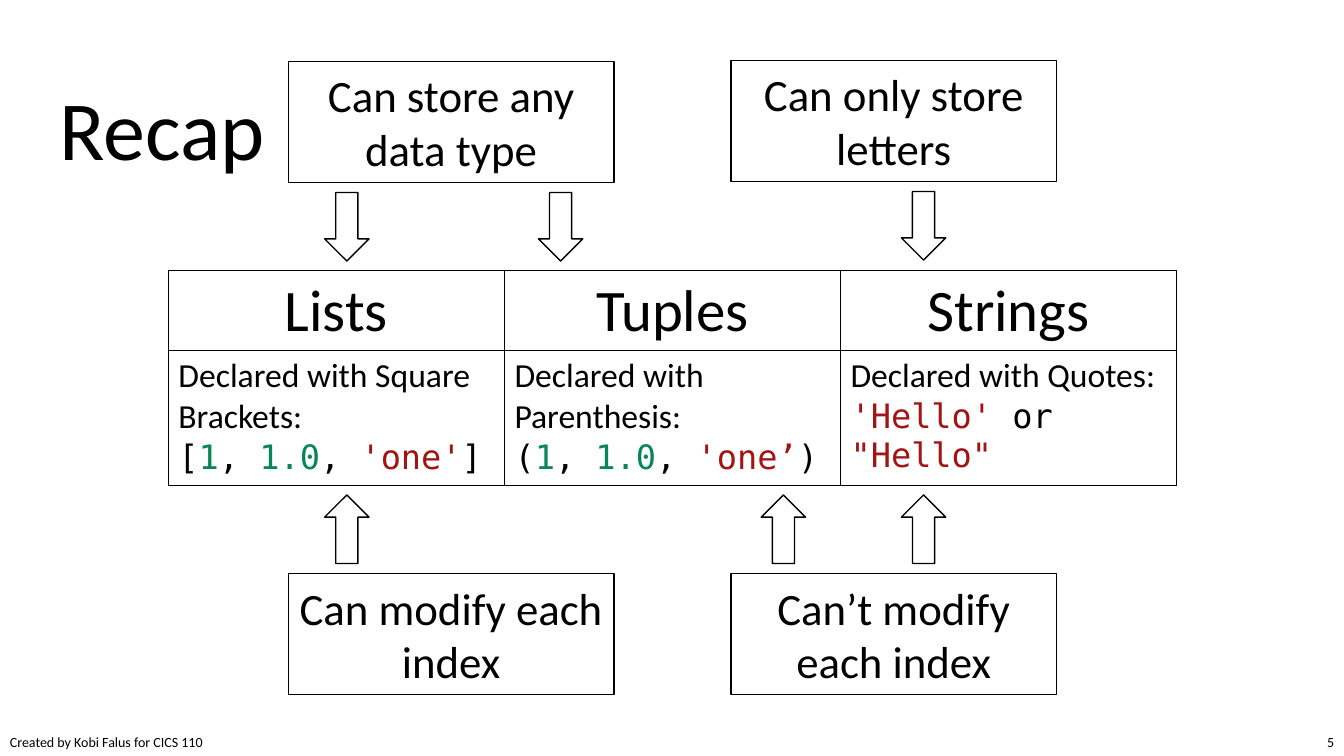
from dataclasses import dataclass

from lxml.etree import SubElement
from pptx import Presentation
from pptx.dml.color import RGBColor
from pptx.enum.shapes import MSO_SHAPE as Shape
from pptx.enum.text import MSO_ANCHOR as Anchor, PP_ALIGN as Align
from pptx.oxml.ns import qn
from pptx.util import Inches, Pt

BLACK = RGBColor(0x00, 0x00, 0x00)
WHITE = RGBColor(0xFF, 0xFF, 0xFF)
NUMBER = RGBColor(0x09, 0x86, 0x58)
STRING = RGBColor(0xA3, 0x15, 0x15)
BODY_FONT = "Calibri"
CODE_FONT = "DejaVu Sans Mono"

Code = list[tuple[str, RGBColor]]


@dataclass
class Column:
    heading: str
    declared: str
    code: Code


@dataclass
class Note:
    text: str
    left: float
    top: float


@dataclass
class Arrow:
    left: float
    top: float
    rotation: int = 0


def sequence_code(opening: str, word: str, closing: str) -> Code:
    return [(opening, BLACK), ("1", NUMBER), (", ", BLACK), ("1.0", NUMBER),
            (", ", BLACK), (word, STRING), (closing, BLACK)]


COLUMNS = [
    Column("Lists", "Declared with Square Brackets:", sequence_code("[", "'one'", "]")),
    Column("Tuples", "Declared with Parenthesis:", sequence_code("(", "'one’", ")")),
    Column("Strings", "Declared with Quotes:",
           [("'Hello' ", STRING), ("or ", BLACK), ('"Hello"', STRING)]),
]
NOTES = [
    Note("Can store any data type", 2.86, 0.61),
    Note("Can only store letters", 7.25, 0.6),
    Note("Can modify each index", 2.86, 5.69),
    Note("Can’t modify each index", 7.25, 5.69),
]
ARROWS = [
    Arrow(3.22, 1.91), Arrow(5.34, 1.91), Arrow(8.94, 1.9),
    Arrow(3.22, 4.91, 180), Arrow(7.55, 4.91, 180), Arrow(8.94, 4.91, 180),
]


def write(p, text: str, size: float, align: Align = Align.LEFT) -> None:
    p.text = text
    p.alignment = align
    p.font.size = Pt(size)
    p.font.name = BODY_FONT
    p.font.color.rgb = BLACK


def write_code(p, code: Code) -> None:
    p.font.size = Pt(24)
    p.font.name = CODE_FONT
    for text, color in code:
        r = p.add_run()
        r.text = text
        r.font.size = Pt(24)
        r.font.name = CODE_FONT
        r.font.color.rgb = color


def format_cell(cell) -> None:
    """Give a cell black borders and no fill."""
    tc_pr = cell._tc.get_or_add_tcPr()
    for side in ("a:lnL", "a:lnR", "a:lnT", "a:lnB"):
        line = SubElement(tc_pr, qn(side), w=str(Pt(1)))
        fill = SubElement(line, qn("a:solidFill"))
        SubElement(fill, qn("a:srgbClr"), val=str(BLACK))
    cell.fill.background()


def add_comparison(s) -> None:
    table = s.shapes.add_table(2, len(COLUMNS), Inches(1.67), Inches(2.68),
                               Inches(10), Inches(2.14)).table
    table.first_row = table.horz_banding = False
    table.rows[0].height = Inches(0.8)
    table.rows[1].height = Inches(1.34)
    for i, column in enumerate(COLUMNS):
        heading, body = table.cell(0, i), table.cell(1, i)
        format_cell(heading)
        format_cell(body)
        write(heading.text_frame.paragraphs[0], column.heading, 42, Align.CENTER)
        write(body.text_frame.paragraphs[0], column.declared, 24)
        write_code(body.text_frame.add_paragraph(), column.code)


def add_outlined(s, kind: Shape, left: float, top: float, width: float, height: float):
    sp = s.shapes.add_shape(kind, Inches(left), Inches(top), Inches(width), Inches(height))
    sp.shadow.inherit = False
    sp.fill.solid()
    sp.fill.fore_color.rgb = WHITE
    sp.line.color.rgb = BLACK
    sp.line.width = Pt(1)
    return sp


def add_note(s, note: Note) -> None:
    tf = add_outlined(s, Shape.RECTANGLE, note.left, note.top, 3.23, 1.2).text_frame
    tf.word_wrap = True
    tf.vertical_anchor = Anchor.MIDDLE
    write(tf.paragraphs[0], note.text, 32, Align.CENTER)


def add_arrow(s, arrow: Arrow) -> None:
    sp = add_outlined(s, Shape.DOWN_ARROW, arrow.left, arrow.top, 0.44, 0.68)
    sp.rotation = arrow.rotation


def add_footer(s, text: str, left: float, width: float, align: Align) -> None:
    tf = s.shapes.add_textbox(Inches(left), Inches(7.23), Inches(width), Inches(0.27)).text_frame
    tf.word_wrap = True
    write(tf.paragraphs[0], text, 10, align)


def set_title(s, text: str) -> None:
    title = s.shapes.title
    title.left, title.top = Inches(0.49), Inches(0.6)
    title.width, title.height = Inches(2.37), Inches(1.45)
    title.text_frame.vertical_anchor = Anchor.MIDDLE
    p = title.text_frame.paragraphs[0]
    write(p, text, 60)
    p.line_spacing = 0.9


def main() -> None:
    prs = Presentation()
    prs.slide_width, prs.slide_height = Inches(13.33), Inches(7.5)
    s = prs.slides.add_slide(prs.slide_layouts[5])
    set_title(s, "Recap")
    add_footer(s, "Created by Kobi Falus for CICS 110", 0, 2.15, Align.LEFT)
    add_footer(s, "5", 12.78, 0.55, Align.RIGHT)
    add_comparison(s)
    for note in NOTES:
        add_note(s, note)
    for arrow in ARROWS:
        add_arrow(s, arrow)
    prs.save("out.pptx")


if __name__ == "__main__":
    main()
